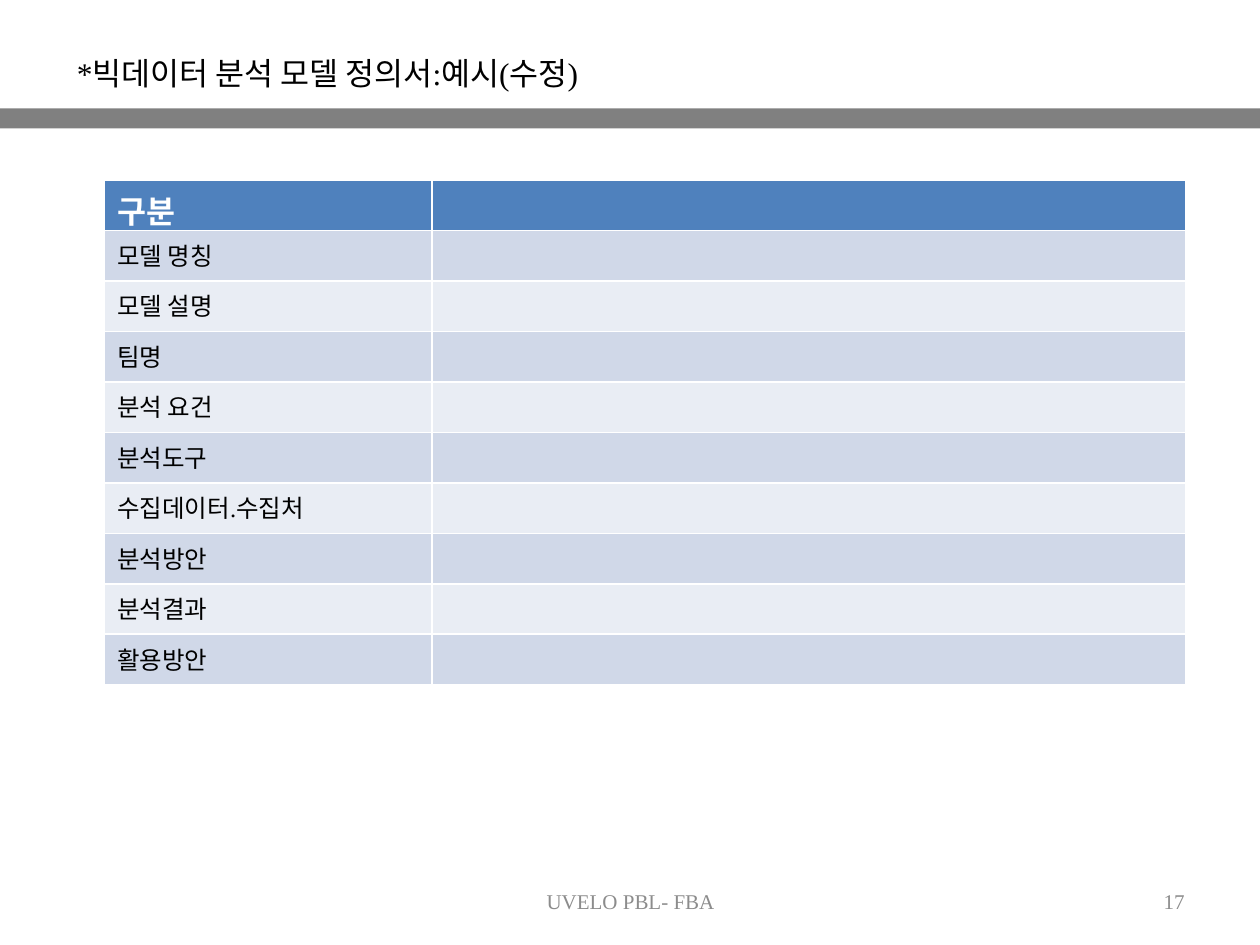
from pptx import Presentation
from pptx.dml.color import RGBColor
from pptx.enum.shapes import MSO_SHAPE
from pptx.enum.text import MSO_ANCHOR, MSO_AUTO_SIZE, PP_ALIGN
from pptx.util import Pt

PX = 9144  # 100 px to the inch
COLORS = {
    "black": "000000", "white": "FFFFFF", "bar": "808080", "footer": "8C8C8C",
    "header": "4F81BD", "band_dark": "D0D8E8", "band_light": "E9EDF4",
}


def px(*lengths):
    return [length * PX for length in lengths]


def write(frame, text, size, color, bold=False, align=PP_ALIGN.LEFT):
    para = frame.paragraphs[0]
    para.alignment = align
    span = para.add_run()
    span.text = text
    values = {"name": "Times New Roman", "size": Pt(size), "bold": bold}
    for name, value in values.items():
        setattr(span.font, name, value)
    span.font.color.rgb = RGBColor.from_string(COLORS[color])


deck = Presentation()
deck.slide_width, deck.slide_height = px(1000, 750)
page = deck.slides.add_slide(deck.slide_layouts[5])

# Title
title = page.shapes.title
title.left, title.top, title.width, title.height = px(51, 38, 461, 40)
frame = title.text_frame
frame.word_wrap = False
frame.auto_size = MSO_AUTO_SIZE.SHAPE_TO_FIT_TEXT
frame.vertical_anchor = MSO_ANCHOR.TOP
write(frame, "*빅데이터 분석 모델 정의서:예시(수정)", 18, "black")

# Bar under the title
bar = page.shapes.add_shape(MSO_SHAPE.RECTANGLE, *px(0, 86, 1000, 16))
bar.shadow.inherit = False
bar.fill.solid()
bar.fill.fore_color.rgb = RGBColor.from_string(COLORS["bar"])
bar.line.fill.background()

# Model definition table; the table style draws the white borders
labels = ["구분", "모델 명칭", "모델 설명", "팀명", "분석 요건", "분석도구",
          "수집데이터.수집처", "분석방안", "분석결과", "활용방안"]
table = page.shapes.add_table(
    len(labels), 2, *px(83, 143, 858, 40 * len(labels))).table
for column, width in zip(table.columns, px(260, 598)):
    column.width = width
for index, label in enumerate(labels):
    if index == 0:
        fill, size, color = "header", 18, "white"
    else:
        fill = "band_dark" if index % 2 else "band_light"
        size, color = 14, "black"
    for cell in table.rows[index].cells:
        cell.fill.solid()
        cell.fill.fore_color.rgb = RGBColor.from_string(COLORS[fill])
    write(table.cell(index, 0).text_frame, label, size, color, bold=index == 0)

# Footer and page number
for text, left, width, align in [
    ("UVELO PBL- FBA", 342, 317, PP_ALIGN.CENTER),
    ("17", 717, 233, PP_ALIGN.RIGHT),
]:
    box = page.shapes.add_textbox(*px(left, 695, width, 40))
    box.text_frame.word_wrap = True
    box.text_frame.vertical_anchor = MSO_ANCHOR.MIDDLE
    write(box.text_frame, text, 12, "footer", align=align)

deck.save("out.pptx")
